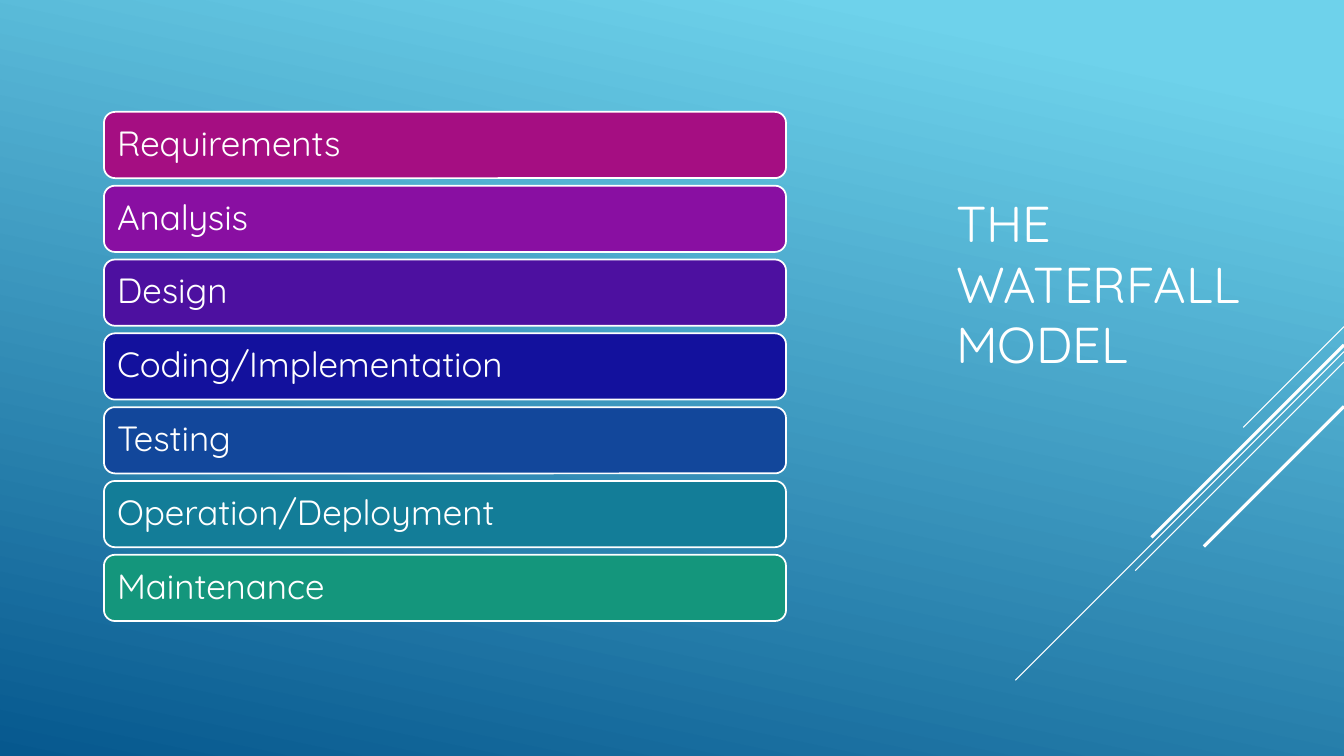
from lxml.etree import SubElement
from pptx import Presentation
from pptx.dml.color import RGBColor
from pptx.enum.shapes import MSO_CONNECTOR, MSO_SHAPE
from pptx.enum.text import MSO_ANCHOR, PP_ALIGN
from pptx.oxml.ns import qn
from pptx.util import Cm, Pt

TITLE = "THE WATERFALL MODEL"
PHASES = [
    ("Requirements", RGBColor(0xA5, 0x0E, 0x82)),
    ("Analysis", RGBColor(0x89, 0x0F, 0xA2)),
    ("Design", RGBColor(0x4D, 0x10, 0xA0)),
    ("Coding/Implementation", RGBColor(0x13, 0x11, 0x9D)),
    ("Testing", RGBColor(0x12, 0x47, 0x9B)),
    ("Operation/Deployment", RGBColor(0x13, 0x7D, 0x98)),
    ("Maintenance", RGBColor(0x14, 0x96, 0x7C)),
]
# (height at the right edge, run, weight)
STREAKS = [
    (8.23, 2.54, 0.75),
    (8.86, 8.28, 0.75),
    (9.12, 5.26, 0.75),
    (8.69, 4.85, 2.25),
    (10.24, 3.53, 2.25),
]
WHITE = RGBColor(0xFF, 0xFF, 0xFF)
SKY = RGBColor(0x6E, 0xD2, 0xEB)
DEEP_BLUE = RGBColor(0x06, 0x58, 0x8E)
FONT = "Quicksand"
SLIDE_WIDTH, SLIDE_HEIGHT = 33.87, 19.05
BAR_LEFT, BAR_TOP, BAR_WIDTH, BAR_HEIGHT, BAR_STEP = 2.62, 2.82, 17.19, 1.67, 1.86
FRAME_FORMAT = {
    "word_wrap": True,
    "vertical_anchor": MSO_ANCHOR.MIDDLE,
    "margin_left": Cm(0.25),
    "margin_right": Cm(0.25),
}


def write(owner, text, size, spacing):
    frame = owner.text_frame
    for key, value in FRAME_FORMAT.items():
        setattr(frame, key, value)
    paragraph = frame.paragraphs[0]
    paragraph.alignment = PP_ALIGN.LEFT
    paragraph.line_spacing = spacing
    run = paragraph.add_run()
    run.text = text
    for key, value in {"name": FONT, "size": Pt(size)}.items():
        setattr(run.font, key, value)
    run.font.color.rgb = WHITE


deck = Presentation()
deck.slide_width, deck.slide_height = Cm(SLIDE_WIDTH), Cm(SLIDE_HEIGHT)
slide = deck.slides.add_slide(deck.slide_layouts[6])
shapes = slide.shapes

backdrop = shapes.add_shape(MSO_SHAPE.RECTANGLE, 0, 0, deck.slide_width, deck.slide_height)
backdrop.shadow.inherit = False
backdrop.line.fill.background()
backdrop.fill.gradient()
backdrop.fill.gradient_angle = 258
for stop, (position, color) in zip(backdrop.fill.gradient_stops, [(0.1, SKY), (1, DEEP_BLUE)]):
    stop.position = position
    stop.color.rgb = color

for edge, run, weight in STREAKS:
    streak = shapes.add_connector(
        MSO_CONNECTOR.STRAIGHT, Cm(SLIDE_WIDTH), Cm(edge), Cm(SLIDE_WIDTH - run), Cm(edge + run)
    )
    streak.line.color.rgb = WHITE
    streak.line.width = Pt(weight)
    SubElement(streak.line._get_or_add_ln().getparent(), qn("a:effectLst"))

title = shapes.add_textbox(Cm(23.85), Cm(2.62), Cm(8.46), Cm(9.02))
write(title, TITLE, 36, 1)

for row, (phase, color) in enumerate(PHASES):
    bar = shapes.add_shape(
        MSO_SHAPE.ROUNDED_RECTANGLE,
        Cm(BAR_LEFT), Cm(BAR_TOP + row * BAR_STEP), Cm(BAR_WIDTH), Cm(BAR_HEIGHT),
    )
    bar.shadow.inherit = False
    bar.fill.solid()
    bar.fill.fore_color.rgb = color
    bar.line.color.rgb = WHITE
    bar.line.width = Pt(1.25)
    write(bar, phase, 25, 0.9)

deck.save("out.pptx")
